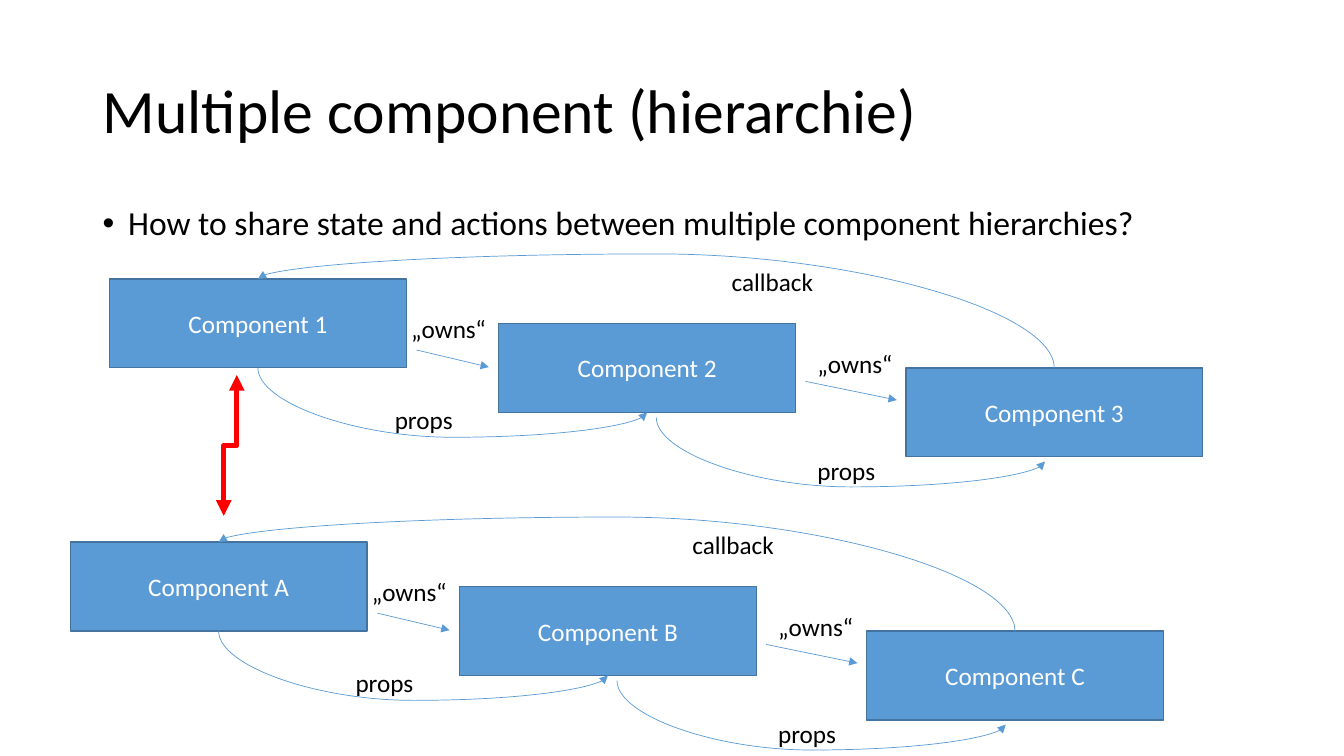
from typing import NamedTuple

import pptx
import pptx.dml.color
import pptx.enum.shapes
import pptx.enum.text
import pptx.oxml
import pptx.oxml.ns
import pptx.util

Cm = pptx.util.Cm
Pt = pptx.util.Pt
Anchor = pptx.enum.text.MSO_ANCHOR
Connector = pptx.enum.shapes.MSO_CONNECTOR

COLORS = {
    "text": "000000",
    "box": "5B9BD5",
    "box_edge": "43739E",
    "box_text": "FFFFFF",
    "link": "5B9BD5",
    "exchange": "FF0000",
}
FONT = "Calibri"
BOX_WIDTH, BOX_HEIGHT = 7.48, 2.24
BOX_LEFTS = (2.76, 12.57, 22.83)
BOX_TOP, BOX_STEP = 7.03, 1.12


class Point(NamedTuple):
    x: float
    y: float


class Label(NamedTuple):
    text: str
    at: Point
    width: float
    wraps: bool


class Curve(NamedTuple):
    start: Point
    end: Point
    bend_y: float


class Arrow(NamedTuple):
    start: Point
    end: Point


class Hierarchy(NamedTuple):
    components: tuple[str, ...]
    offset: Point


HIERARCHIES = (
    Hierarchy(("Component 1", "Component 2", "Component 3"), Point(0, 0)),
    Hierarchy(("Component A", "Component B", "Component C"), Point(-0.99, 6.63)),
)
CURVES = (
    Curve(Point(6.5, 9.27), Point(16.31, 10.39), 11.02),
    Curve(Point(26.57, 9.28), Point(6.5, 7.03), 6.4),
    Curve(Point(16.54, 10.52), Point(26.34, 11.63), 12.27),
)
OWNERSHIPS = (
    Arrow(Point(10.5, 8.82), Point(12.32, 9.25)),
    Arrow(Point(20.3, 9.61), Point(22.6, 10.08)),
)
LABELS = (
    Label("props", Point(9.7, 10.06), 1.98, False),
    Label("callback", Point(18.19, 6.58), 2.59, False),
    Label("props", Point(20.35, 11.35), 1.98, False),
    Label("„owns“", Point(10.11, 7.77), 2.59, True),
    Label("„owns“", Point(20.35, 8.66), 2.59, True),
)


def rgb(name: str) -> pptx.dml.color.RGBColor:
    return pptx.dml.color.RGBColor.from_string(COLORS[name])


def shifted(point: Point, offset: Point) -> Point:
    return Point(point.x + offset.x, point.y + offset.y)


def add_run(paragraph, text: str, size: float, color: str) -> None:
    run = paragraph.add_run()
    run.text = text
    run.font.name = FONT
    run.font.size = Pt(size)
    run.font.color.rgb = rgb(color)


def add_text(slide, text: str, at: Point, width: float, height: float, size: float,
             wraps: bool = True, anchor=Anchor.TOP):
    frame = slide.shapes.add_textbox(Cm(at.x), Cm(at.y), Cm(width), Cm(height)).text_frame
    frame.word_wrap = wraps
    frame.vertical_anchor = anchor
    add_run(frame.paragraphs[0], text, size, "text")
    return frame.paragraphs[0]


def add_bullet(paragraph) -> None:
    properties = paragraph._p.get_or_add_pPr()
    properties.set("marL", str(Cm(0.64)))
    properties.set("indent", str(Cm(-0.64)))
    for tag, attribute, value in (("a:buFont", "typeface", "Arial"), ("a:buChar", "char", "•")):
        bullet = pptx.oxml.xmlchemy.OxmlElement(tag)
        bullet.set(attribute, value)
        properties.append(bullet)


def add_component(slide, name: str, at: Point) -> None:
    box = slide.shapes.add_shape(pptx.enum.shapes.MSO_SHAPE.RECTANGLE,
                                 Cm(at.x), Cm(at.y), Cm(BOX_WIDTH), Cm(BOX_HEIGHT))
    box.shadow.inherit = False
    box.fill.solid()
    box.fill.fore_color.rgb = rgb("box")
    box.line.color.rgb = rgb("box_edge")
    box.line.width = Pt(1)
    box.text_frame.vertical_anchor = Anchor.MIDDLE
    paragraph = box.text_frame.paragraphs[0]
    paragraph.alignment = pptx.enum.text.PP_ALIGN.CENTER
    add_run(paragraph, name, 18, "box_text")


def add_arrow(slide, arrow: Arrow, kind=Connector.STRAIGHT, color: str = "link",
              width: float = 0.5, heads: tuple[str, ...] = ("a:tailEnd",)):
    link = slide.shapes.add_connector(kind, Cm(arrow.start.x), Cm(arrow.start.y),
                                      Cm(arrow.end.x), Cm(arrow.end.y))
    link.line.color.rgb = rgb(color)
    link.line.width = Pt(width)
    for tag in heads:
        head = pptx.oxml.xmlchemy.OxmlElement(tag)
        head.set("type", "triangle")
        link.line._get_or_add_ln().append(head)
    link._element.spPr.append(pptx.oxml.xmlchemy.OxmlElement("a:effectLst"))
    return link


def add_vertical_curve(slide, curve: Curve, kind=Connector.CURVE, **style) -> None:
    """Leave and arrive vertically, turning at bend_y: a connector rotated by 270 degrees."""
    start, end = curve.start, curve.end
    middle = Point((start.x + end.x) / 2, (start.y + end.y) / 2)

    def unrotated(point: Point) -> Point:
        return Point(middle.x - (point.y - middle.y), middle.y + (point.x - middle.x))

    link = add_arrow(slide, Arrow(unrotated(start), unrotated(end)), kind, **style)
    link._element.spPr.xfrm.set("rot", str(270 * 60000))
    guide = pptx.oxml.xmlchemy.OxmlElement("a:gd")
    guide.set("name", "adj1")
    guide.set("fmla", f"val {round(100000 * (curve.bend_y - start.y) / (end.y - start.y))}")
    link._element.spPr.find(".//" + pptx.oxml.ns.qn("a:avLst")).append(guide)


def add_hierarchy(slide, hierarchy: Hierarchy) -> None:
    offset = hierarchy.offset
    for level, (name, left) in enumerate(zip(hierarchy.components, BOX_LEFTS)):
        add_component(slide, name, shifted(Point(left, BOX_TOP + level * BOX_STEP), offset))
    for curve in CURVES:
        add_vertical_curve(slide, Curve(shifted(curve.start, offset), shifted(curve.end, offset),
                                        curve.bend_y + offset.y))
    for arrow in OWNERSHIPS:
        add_arrow(slide, Arrow(shifted(arrow.start, offset), shifted(arrow.end, offset)))
    for label in LABELS:
        add_text(slide, label.text, shifted(label.at, offset), label.width, 1.02, 18, label.wraps)


def main() -> None:
    deck = pptx.Presentation()
    deck.slide_width, deck.slide_height = Cm(33.87), Cm(19.05)
    slide = deck.slides.add_slide(deck.slide_layouts[6])

    title = add_text(slide, "Multiple component (hierarchie)", Point(2.34, 1.02),
                     29.21, 3.68, 44, anchor=Anchor.MIDDLE)
    title.line_spacing = 0.9
    question = add_text(
        slide, "How to share state and actions between multiple component hierarchies?",
        Point(2.34, 5.08), 29.21, 12.09, 24)
    question.line_spacing = 0.9
    question.space_before = Pt(10)
    add_bullet(question)

    for hierarchy in HIERARCHIES:
        add_hierarchy(slide, hierarchy)
    add_vertical_curve(slide, Curve(Point(5.97, 9.45), Point(5.64, 13), 11.23),
                       kind=Connector.ELBOW, color="exchange", width=3.75,
                       heads=("a:headEnd", "a:tailEnd"))
    deck.save("out.pptx")


if __name__ == "__main__":
    main()
